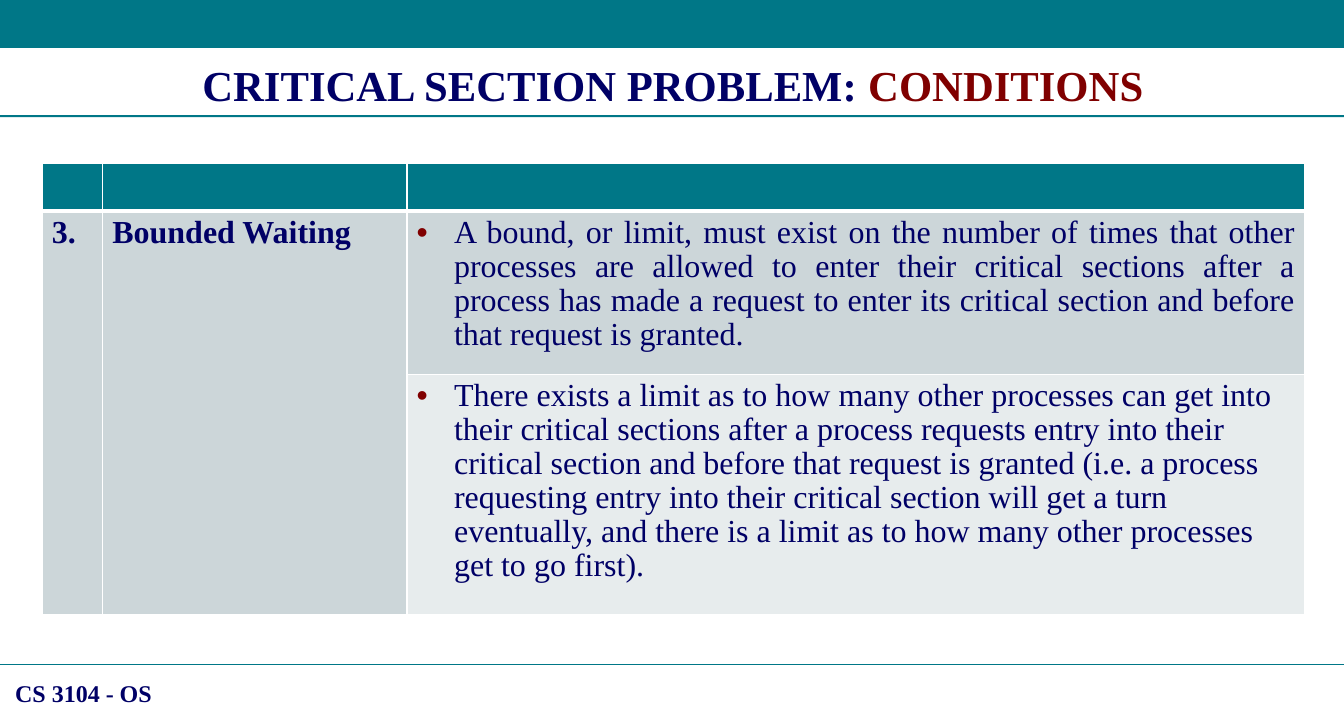
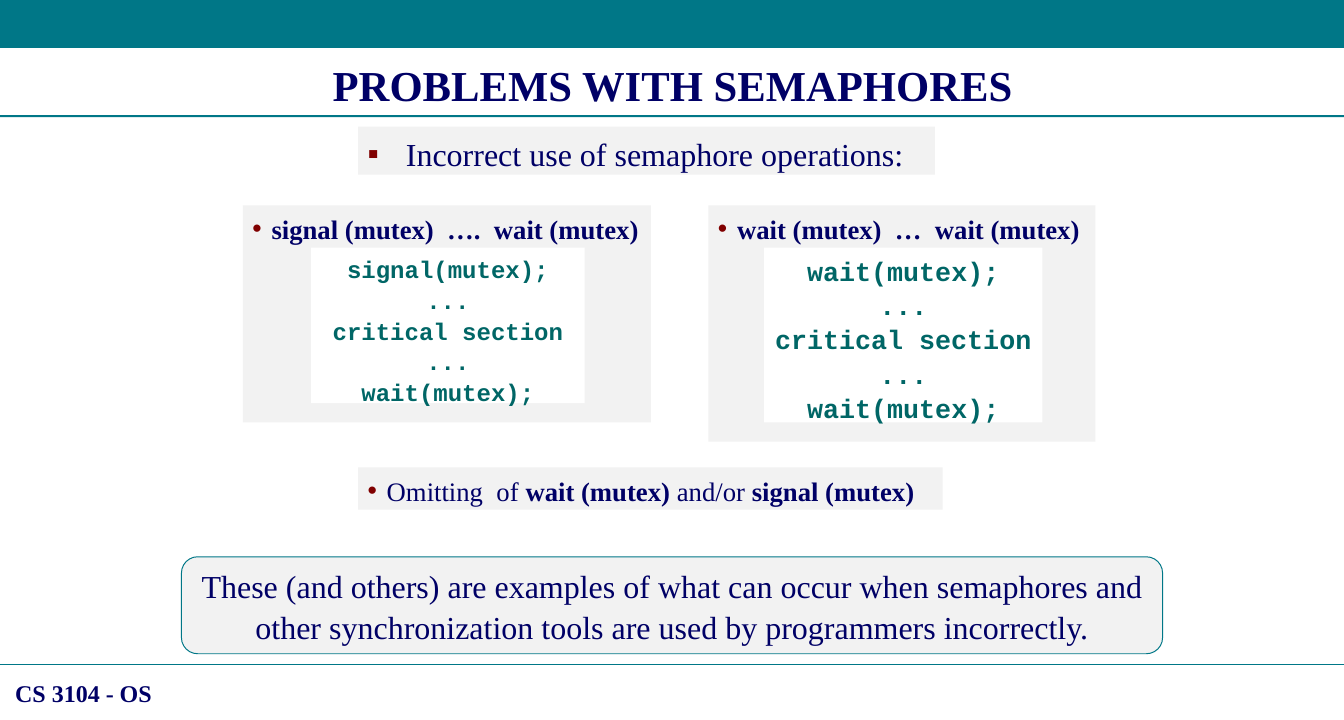
from dataclasses import dataclass

from lxml import etree
from pptx import Presentation
from pptx.dml.color import RGBColor
from pptx.enum.shapes import MSO_CONNECTOR, MSO_SHAPE
from pptx.enum.text import MSO_ANCHOR, PP_ALIGN
from pptx.oxml.ns import qn
from pptx.util import Inches, Pt

RECT, ROUNDED = MSO_SHAPE.RECTANGLE, MSO_SHAPE.ROUNDED_RECTANGLE
STRAIGHT = MSO_CONNECTOR.STRAIGHT
LEFT, CENTER, JUSTIFY = PP_ALIGN.LEFT, PP_ALIGN.CENTER, PP_ALIGN.JUSTIFY
TOP, MIDDLE = MSO_ANCHOR.TOP, MSO_ANCHOR.MIDDLE
TITLE_ONLY = 5
COLUMNS, ROWS = 14, 7.5
CELL = Inches(1)


@dataclass(frozen=True)
class Theme:
    teal: str = "007787"
    navy: str = "000066"
    maroon: str = "800000"
    code: str = "006666"
    panel: str = "F2F2F2"
    white: str = "FFFFFF"
    row_dark: str = "CCD6D9"
    row_light: str = "E7ECED"
    serif: str = "Times New Roman"
    mono: str = "Courier New"
    title: int = 32
    body: int = 24
    detail: int = 20
    small: int = 18
    text_spacing: float = 1.07
    table_spacing: float = 0.96


def grid(*cells):
    return [round(cell * CELL) for cell in cells]


def add_bullet(paragraph, symbol, indent, color):
    properties = paragraph._p.get_or_add_pPr()
    hanging = round(indent * CELL)
    properties.set("marL", str(hanging))
    properties.set("indent", str(-hanging))
    bullet_color = etree.SubElement(properties, qn("a:buClr"))
    etree.SubElement(bullet_color, qn("a:srgbClr"), val=color)
    etree.SubElement(properties, qn("a:buFont"), typeface="Arial")
    etree.SubElement(properties, qn("a:buChar"), char=symbol)


def add_borders(cell, color, bottom):
    properties = cell._tc.get_or_add_tcPr()
    widths = {"a:lnL": 1, "a:lnR": 1, "a:lnT": 1, "a:lnB": bottom}
    for position, (side, width) in enumerate(widths.items()):
        border = etree.Element(qn(side), w=str(Pt(width)))
        fill = etree.SubElement(border, qn("a:solidFill"))
        etree.SubElement(fill, qn("a:srgbClr"), val=color)
        properties.insert(position, border)


class Deck:
    def __init__(self, theme):
        self.theme = theme
        self.presentation = Presentation()
        self.presentation.slide_width, self.presentation.slide_height = grid(COLUMNS, ROWS)
        self.slide = None

    def new_slide(self, *title_runs):
        """Start a slide with the shared band, rules, footer and a title."""
        theme = self.theme
        layout = self.presentation.slide_layouts[TITLE_ONLY]
        self.slide = self.presentation.slides.add_slide(layout)
        self.shape((0, 0, COLUMNS, 0.5), theme.teal)
        self.rule(6.92)
        self.shape((0, 1.2, COLUMNS, 0.02), theme.teal)
        footer = self.slide.shapes.add_textbox(*grid(0.06, 7, 1.8, 0.4))
        self.set_text(footer.text_frame, ["CS 3104 - OS"], theme.small, bold=True)
        title = self.slide.shapes.title
        title.left, title.top, title.width, title.height = grid(0.12, 0.53, 13.78, 0.64)
        self.set_text(title.text_frame, [title_runs], theme.title, bold=True, align=CENTER)

    def rule(self, row):
        line = self.slide.shapes.add_connector(STRAIGHT, *grid(0, row, COLUMNS, row))
        line.line.color.rgb = RGBColor.from_string(self.theme.teal)
        line.line.width = Pt(1)
        etree.SubElement(line._element.spPr, qn("a:effectLst"))

    def shape(self, place, fill, kind=RECT, outline=None):
        shape = self.slide.shapes.add_shape(kind, *grid(*place))
        shape.shadow.inherit = False
        shape.fill.solid()
        shape.fill.fore_color.rgb = RGBColor.from_string(fill)
        if outline:
            shape.line.color.rgb = RGBColor.from_string(outline)
            shape.line.width = Pt(0.75)
        else:
            shape.line.fill.background()
        return shape

    def text_shape(self, place, lines, size, fill=None, kind=RECT, outline=None,
                   anchor=TOP, **style):
        shape = self.shape(place, fill or self.theme.panel, kind, outline)
        self.set_text(shape.text_frame, lines, size, anchor=anchor, **style)

    def set_text(self, frame, lines, size, color=None, font=None, bold=False, align=LEFT,
                 anchor=TOP, bullet=None, spacing=None):
        """Fill a frame; a line is a string or a series of (text, font changes)."""
        theme = self.theme
        frame.word_wrap = True
        frame.vertical_anchor = anchor
        for number, line in enumerate(lines):
            paragraph = frame.paragraphs[0] if number == 0 else frame.add_paragraph()
            paragraph.alignment = align
            paragraph.line_spacing = spacing or theme.text_spacing
            if bullet:
                add_bullet(paragraph, *bullet, theme.maroon)
            paragraph.font.name = font or theme.serif
            paragraph.font.size = Pt(size)
            paragraph.font.bold = bold
            paragraph.font.color.rgb = RGBColor.from_string(color or theme.navy)
            for text, changes in [(line, {})] if isinstance(line, str) else line:
                run = paragraph.add_run()
                run.text = text
                if "bold" in changes:
                    run.font.bold = changes["bold"]
                if "color" in changes:
                    run.font.color.rgb = RGBColor.from_string(changes["color"])

    def table(self, place, widths, heights, fills):
        """Add a table whose fills are given by row; texts are set later."""
        table = self.slide.shapes.add_table(len(heights), len(widths), *grid(*place)).table
        for column, width in zip(table.columns, grid(*widths)):
            column.width = width
        for number, (row, height) in enumerate(zip(table.rows, grid(*heights))):
            row.height = height
            for cell, fill in zip(row.cells, fills[number]):
                cell.fill.solid()
                cell.fill.fore_color.rgb = RGBColor.from_string(fill)
                add_borders(cell, self.theme.white, bottom=3 if number == 0 else 1)
        return table

    def cell_text(self, cell, text, **style):
        self.set_text(cell.text_frame, [text], self.theme.body,
                      spacing=self.theme.table_spacing, **style)


def conditions_slide(deck):
    theme = deck.theme
    deck.new_slide(("CRITICAL SECTION PROBLEM: ", {}),
                   ("CONDITIONS", {"color": theme.maroon}))
    conditions = deck.table(
        (0.44, 1.7, 13.15, 4.7), (0.63, 3.17, 9.35), (0.5, 1.7, 2.5),
        ([theme.teal] * 3, [theme.row_dark] * 3,
         [theme.row_dark, theme.row_dark, theme.row_light]))
    for column, label in enumerate(("3.", "Bounded Waiting")):
        conditions.cell(1, column).merge(conditions.cell(2, column))
        deck.cell_text(conditions.cell(1, column), label, bold=True)
    explanations = (
        ("A bound, or limit, must exist on the number of times that other processes are "
         "allowed to enter their critical sections after a process has made a request to "
         "enter its critical section and before that request is granted.", JUSTIFY),
        ("There exists a limit as to how many other processes can get into their critical "
         "sections after a process requests entry into their critical section and before "
         "that request is granted (i.e. a process requesting entry into their critical "
         "section will get a turn eventually, and there is a limit as to how many other "
         "processes get to go first).", LEFT))
    for row, (explanation, align) in enumerate(explanations, start=1):
        deck.cell_text(conditions.cell(row, 2), explanation, align=align, bullet=("•", 0.39))


def semaphores_slide(deck):
    theme = deck.theme
    dot = ("•", 0.2)
    deck.new_slide(("PROBLEMS WITH SEMAPHORES", {}))
    deck.text_shape((3.73, 1.32, 6.01, 0.5), ["Incorrect use of semaphore operations:"],
                    theme.body, align=JUSTIFY, bullet=("▪", 0.4))
    misuses = (
        ("signal (mutex)  ….  wait (mutex)", (2.53, 2.14, 4.25, 2.26),
         "signal(mutex);", (3.24, 2.58, 2.85, 1.62), theme.small),
        ("wait (mutex)  …  wait (mutex)", (7.38, 2.14, 4.03, 2.46),
         "wait(mutex);", (7.96, 2.58, 2.9, 1.82), theme.detail))
    for heading, panel, first_call, code, code_size in misuses:
        deck.text_shape(panel, [heading], theme.detail, bold=True, bullet=dot)
        deck.text_shape(code, [first_call, "...", "critical section", "...", "wait(mutex);"],
                        code_size, fill=theme.white, color=theme.code, font=theme.mono,
                        bold=True, align=CENTER)
    omission = (("Omitting  of ", {}), ("wait (mutex) ", {"bold": True}),
                ("and/or ", {}), ("signal (mutex)", {"bold": True}))
    deck.text_shape((3.73, 4.87, 6.09, 0.44), [omission], theme.detail, bullet=dot)
    deck.text_shape((1.89, 5.8, 10.22, 1.01),
                    ["These (and others) are examples of what can occur when semaphores and "
                     "other synchronization tools are used by programmers incorrectly."],
                    theme.body, kind=ROUNDED, outline=theme.teal, anchor=MIDDLE, align=CENTER)


def main():
    deck = Deck(Theme())
    conditions_slide(deck)
    semaphores_slide(deck)
    deck.presentation.save("out.pptx")


if __name__ == "__main__":
    main()
